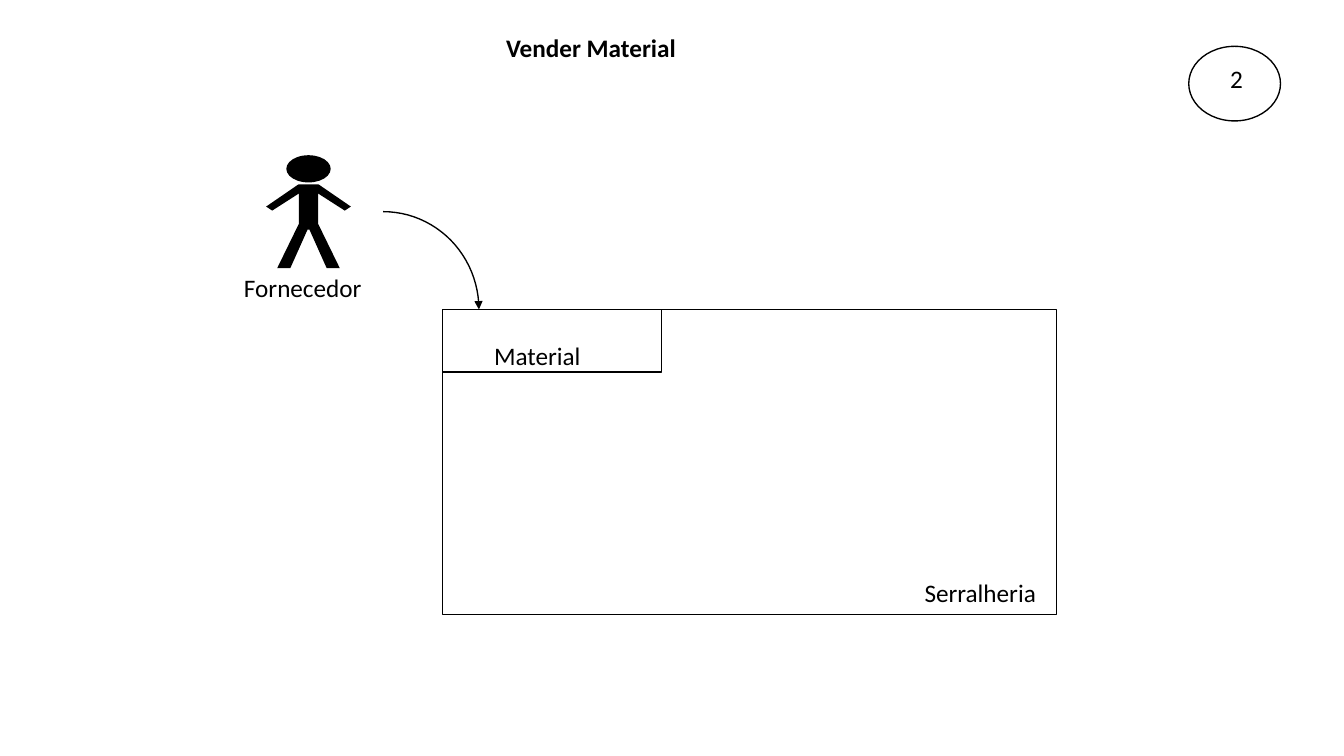
import math
from dataclasses import dataclass

from pptx import Presentation, util as u
from pptx.dml.color import RGBColor
from pptx.enum import shapes, text
from pptx.oxml import parse_xml
from pptx.oxml.ns import nsdecls

CELL = u.Inches(0.1)  # side of one grid column or row


@dataclass(frozen=True)
class Theme:
    """Colours and type of the diagram."""
    ink: RGBColor = RGBColor(0, 0, 0)
    font: str = "Calibri"
    size: u.Pt = u.Pt(18)
    line: u.Pt = u.Pt(0.96)


THEME = Theme()


def grid(*cells):
    """Turn grid columns and rows into lengths."""
    return [u.Emu(round(c * CELL)) for c in cells]


def apply(target, values):
    """Set each named attribute on the target."""
    for name, value in values.items():
        setattr(target, name, value)


def paint(s, filled=False):
    """Make a shape either solid ink or an ink outline."""
    s.shadow.inherit = False
    if filled:
        s.fill.solid()
        s.fill.fore_color.rgb = THEME.ink
        s.line.fill.background()
    else:
        s.fill.background()
        s.line.color.rgb = THEME.ink
        s.line.width = THEME.line
    return s


def write(s, words, left=0.1, top=0.1, bold=False, wrap=False):
    """Write one left-aligned line, inset by grid cells."""
    tf = s.text_frame
    inset_left, inset_top = grid(left, top)
    apply(tf, {"margin_left": inset_left, "margin_top": inset_top,
               "margin_right": 0, "margin_bottom": 0, "word_wrap": wrap,
               "auto_size": text.MSO_AUTO_SIZE.NONE,
               "vertical_anchor": text.MSO_ANCHOR.TOP})
    p = tf.paragraphs[0]
    apply(p, {"alignment": text.PP_ALIGN.LEFT, "space_before": u.Pt(1)})
    r = p.add_run()
    r.text = words
    apply(r.font, {"name": THEME.font, "size": THEME.size, "bold": bold})
    r.font.color.rgb = THEME.ink


def title(slide, words, *box):
    """Move the title placeholder and fill it."""
    s = slide.shapes.title
    apply(s, dict(zip(("left", "top", "width", "height"), grid(*box))))
    write(s, words, bold=True, wrap=True)


def label(slide, words, *box):
    """Add a free-standing caption."""
    write(slide.shapes.add_textbox(*grid(*box)), words)


def shape(slide, kind, *box, filled=False):
    """Add a preset shape."""
    return paint(slide.shapes.add_shape(kind, *grid(*box)), filled)


def outline(slide, points, close=True, filled=False):
    """Add a freeform through grid points."""
    start, *rest = [grid(*point) for point in points]
    builder = slide.shapes.build_freeform(*start)
    builder.add_line_segments(rest, close=close)
    return paint(builder.convert_to_shape(), filled)


def actor(slide, axis, top):
    """Draw a stick figure, symmetric about its axis."""
    shape(slide, shapes.MSO_SHAPE.OVAL, axis - 2.2, top, 4.4, 2.7, filled=True)
    half = [(1, 2.9), (4.2, 5.1), (3.6, 5.5), (0.95, 3.8),
            (0.95, 6.8), (3.1, 11.2), (1.8, 11.2), (0.1, 7.4)]
    right = [(axis + x, top + y) for x, y in half]
    left = [(axis - x, top + y) for x, y in reversed(half)]
    outline(slide, right + left, filled=True)


def arc_arrow(slide, x1, y1, x2, y2, steps=24):
    """Draw a quarter-ellipse arrow that leaves sideways and lands downwards."""
    angles = [math.pi / 2 * i / steps for i in range(steps + 1)]
    points = [(x1 + (x2 - x1) * math.sin(a), y2 - (y2 - y1) * math.cos(a))
              for a in angles]
    s = outline(slide, points, close=False)
    s.line._get_or_add_ln().append(parse_xml(
        f'<a:tailEnd {nsdecls("a")} type="triangle" w="med" len="med"/>'))


def main():
    """Build the slide."""
    prs = Presentation()
    prs.slide_width, prs.slide_height = u.Inches(13.33), u.Inches(7.5)
    slide = prs.slides.add_slide(prs.slide_layouts[5])
    box = shapes.MSO_SHAPE.RECTANGLE

    title(slide, "Vender Material", 50.1, 3.1, 30.9, 3.3)
    actor(slide, 30.6, 15.4)
    label(slide, "Fornecedor", 24.1, 26.9, 11.9, 3.3)
    shape(slide, box, 43.9, 30.7, 60.9, 30.3)
    label(slide, "Serralheria", 91.6, 57.2, 11.3, 3.3)
    material = shape(slide, box, 43.9, 30.7, 21.7, 6.2)
    write(material, "Material", left=5.1, top=3.1)
    arc_arrow(slide, 38, 21, 47.5, 30.7)
    shape(slide, shapes.MSO_SHAPE.OVAL, 117.9, 4.6, 9.1, 7.4)
    label(slide, "2", 121.9, 6.2, 1.5, 3.3)

    prs.save("out.pptx")


main()
